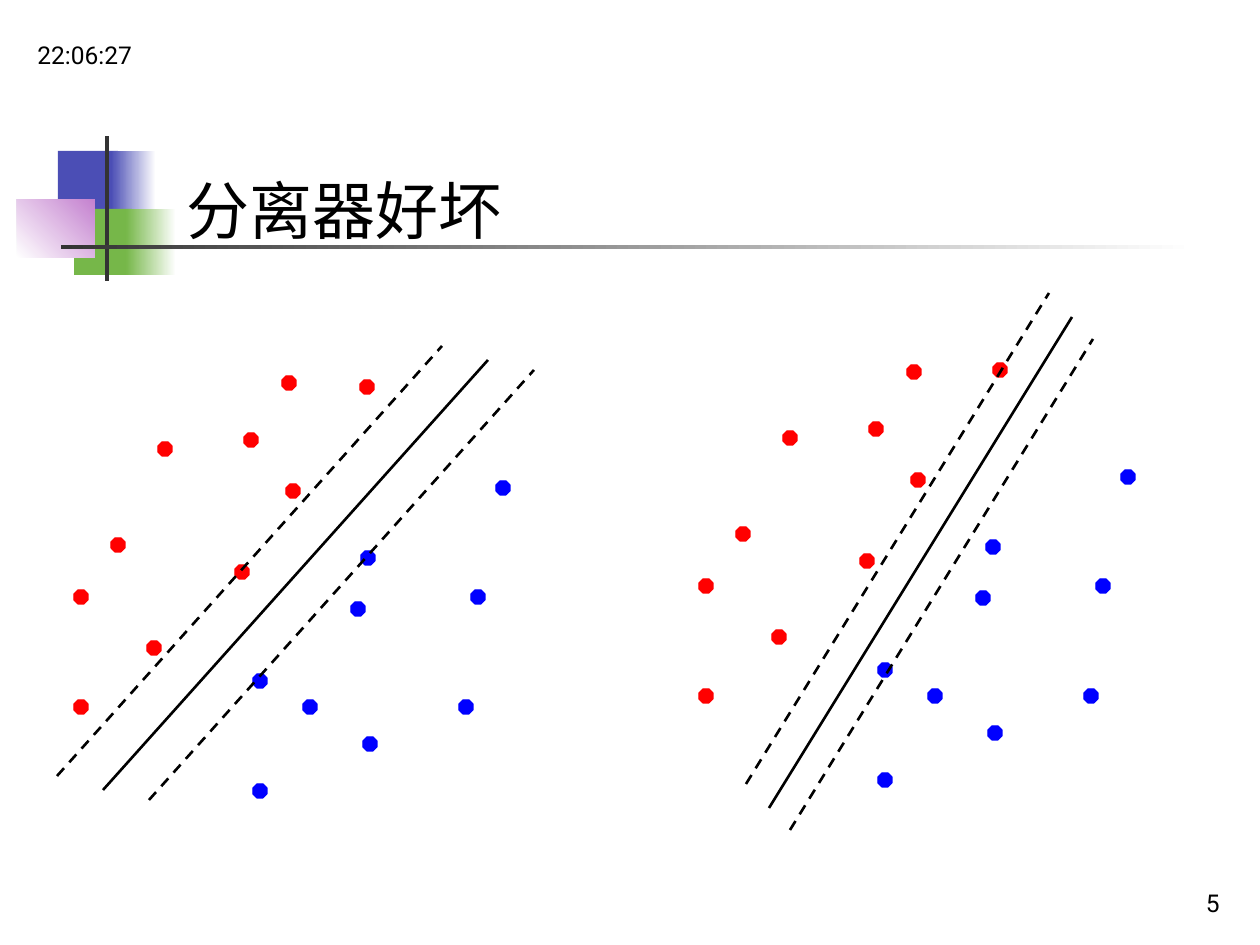
"""Build a slide comparing a wide-margin and a narrow-margin separator."""
from typing import NamedTuple

from lxml.etree import SubElement
from pptx import Presentation
from pptx.dml.color import RGBColor
from pptx.enum.dml import MSO_LINE
from pptx.enum.shapes import MSO_CONNECTOR, MSO_SHAPE
from pptx.enum.text import MSO_ANCHOR as Anchor, PP_ALIGN as Align
from pptx.oxml.ns import qn
from pptx.slide import Slide
from pptx.util import Inches, Pt

SCALE = Inches(1) / 126
FONT = "Roboto"
DOT = 14
HEX = {
    "black": "000000", "white": "FFFFFF", "gray": "333333",
    "red": "FF0000", "blue": "0000FF",
    "indigo": "4B4EB5", "green": "76B749", "lilac": "C481CF",
}


class Block(NamedTuple):
    x: int
    y: int
    w: int
    h: int
    tint: str
    fade: str = ""
    angle: int = 0


class Plot(NamedTuple):
    dx: int
    dy: int
    far: tuple[int, int]
    run: int
    rise: int
    starts: list[tuple[int, int]]


BLOCKS = [
    Block(58, 151, 60, 66, "indigo"),
    Block(111, 151, 45, 66, "indigo", "white"),
    Block(74, 209, 58, 66, "green"),
    Block(126, 209, 50, 66, "green", "white"),
    Block(17, 199, 78, 59, "white", "lilac", 45),
    Block(105, 136, 4, 145, "gray"),
    Block(61, 245, 1134, 4, "gray", "white"),
]
REDS = [(293, 491), (118, 545), (154, 648), (81, 707), (165, 449),
        (81, 597), (251, 440), (242, 572), (289, 383)]
BLUES = [(368, 558), (310, 707), (466, 707), (260, 791), (358, 609),
         (260, 681), (370, 744), (478, 597), (503, 488)]
PLOTS = [
    Plot(0, 0, (367, 387), 385, 430, [(103, 790), (149, 800), (57, 776)]),
    Plot(625, -11, (1000, 370), 303, 491, [(769, 808), (790, 830), (746, 784)]),
]


def px(size: float) -> int:
    """Turn pixels into EMU."""
    return round(size * SCALE)


def color(name: str) -> RGBColor:
    """Look up a named colour."""
    return RGBColor.from_string(HEX[name])


def draw_block(slide: Slide, block: Block) -> None:
    """Draw one plain or fading rectangle of the ornament."""
    shape = slide.shapes.add_shape(MSO_SHAPE.RECTANGLE, *map(px, block[:4]))
    shape.shadow.inherit = False
    shape.line.fill.background()
    if block.fade:
        shape.fill.gradient()
        shape.fill.gradient_angle = block.angle
        for stop, name in zip(shape.fill.gradient_stops, (block.tint, block.fade)):
            stop.color.rgb = color(name)
    else:
        shape.fill.solid()
        shape.fill.fore_color.rgb = color(block.tint)


def draw_dot(slide: Slide, x: int, y: int, tint: str) -> None:
    """Draw a sample centred on a point."""
    left, top = px(x - DOT / 2), px(y - DOT / 2)
    shape = slide.shapes.add_shape(MSO_SHAPE.OCTAGON, left, top, px(DOT), px(DOT))
    shape.shadow.inherit = False
    shape.fill.solid()
    shape.fill.fore_color.rgb = color(tint)
    shape.line.color.rgb = color(tint)
    shape.line.width = Pt(0.75)


def draw_line(slide: Slide, x: int, y: int, run: int, rise: int, dash: bool) -> None:
    """Draw a separator or one of its dashed margins."""
    ends = map(px, (x, y, x + run, y - rise))
    line = slide.shapes.add_connector(MSO_CONNECTOR.STRAIGHT, *ends)
    line.line.color.rgb = color("black")
    line.line.width = Pt(1.5)
    if dash:
        line.line.dash_style = MSO_LINE.DASH
    SubElement(line._element.spPr, qn("a:effectLst"))


def draw_plot(slide: Slide, plot: Plot) -> None:
    """Draw both classes and the lines between them."""
    for tint, spots in (("red", REDS), ("blue", BLUES)):
        for x, y in spots:
            draw_dot(slide, x + plot.dx, y + plot.dy, tint)
    draw_dot(slide, *plot.far, "red")
    for i, (x, y) in enumerate(plot.starts):
        draw_line(slide, x, y, plot.run, plot.rise, i > 0)


def set_text(shape, text: str, size: int, align: Align, anchor: Anchor) -> None:
    """Fill a shape with one styled line of text."""
    frame = shape.text_frame
    frame.text = text
    frame.word_wrap = True
    frame.vertical_anchor = anchor
    para = frame.paragraphs[0]
    para.alignment = align
    font = para.runs[0].font
    font.name, font.size = FONT, Pt(size)
    font.color.rgb = color("black")


def draw_note(slide: Slide, x: int, y: int, text: str, align: Align) -> None:
    """Draw a small corner label."""
    box = slide.shapes.add_textbox(px(x), px(y), px(262), px(63))
    set_text(box, text, 14, align, Anchor.BOTTOM)


def main() -> None:
    """Build and save the slide."""
    deck = Presentation()
    deck.slide_width, deck.slide_height = Inches(10), Inches(7.5)
    slide = deck.slides.add_slide(deck.slide_layouts[5])
    for block in BLOCKS:
        draw_block(slide, block)
    title = slide.shapes.title
    title.left, title.top, title.width, title.height = map(px, (174, 165, 903, 88))
    set_text(title, "分离器好坏", 36, Align.LEFT, Anchor.MIDDLE)
    for plot in PLOTS:
        draw_plot(slide, plot)
    draw_note(slide, 25, 13, "22:06:27", Align.LEFT)
    draw_note(slide, 970, 861, "5", Align.RIGHT)
    deck.save("out.pptx")


if __name__ == "__main__":
    main()
